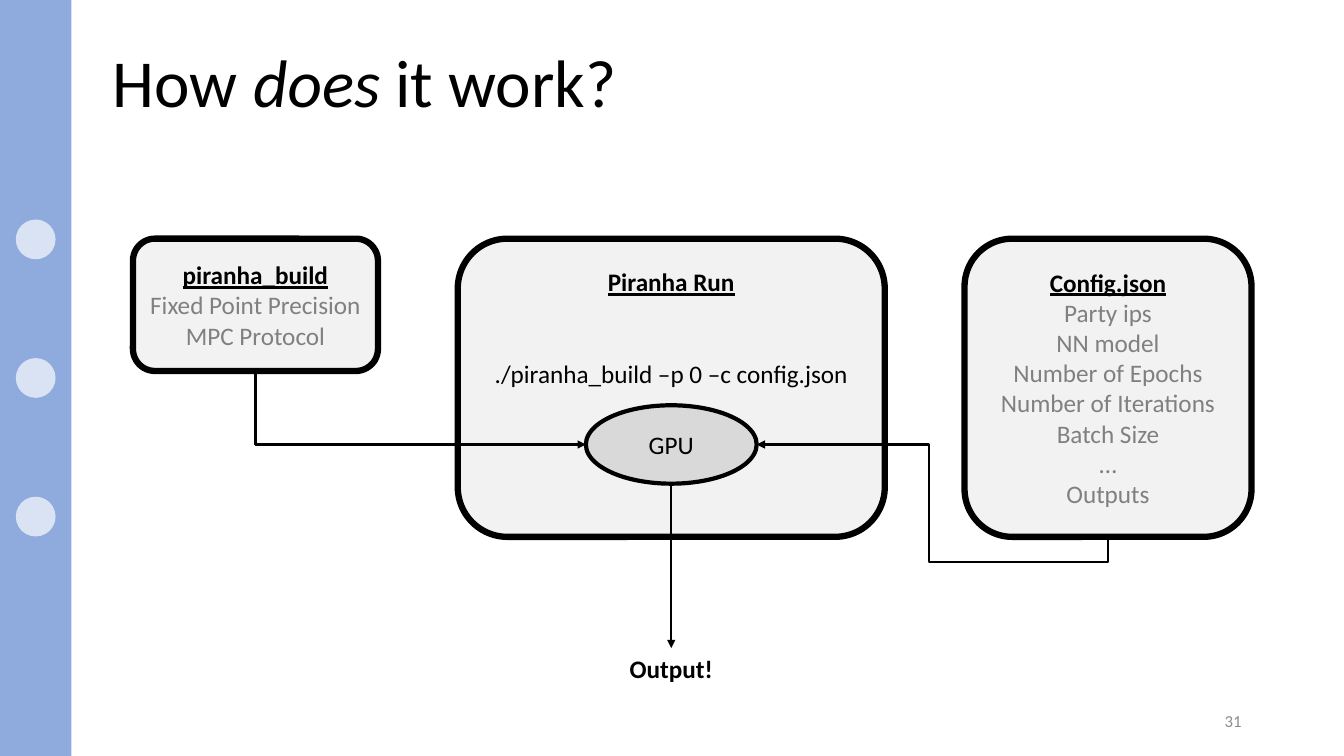
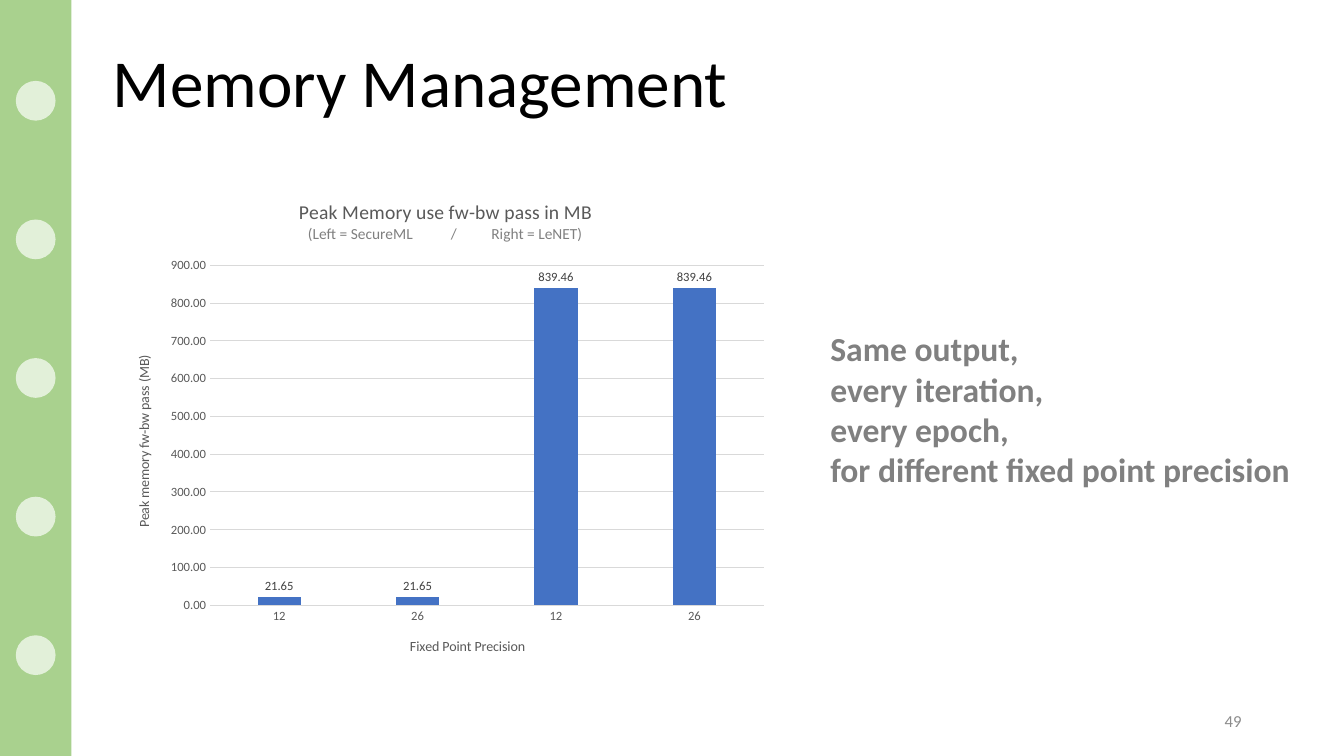
from dataclasses import dataclass

from lxml import etree
from pptx import Presentation
from pptx.chart.data import CategoryChartData
from pptx.dml.color import RGBColor
from pptx.enum.chart import XL_CHART_TYPE, XL_LABEL_POSITION, XL_TICK_MARK
from pptx.enum.shapes import MSO_CONNECTOR, MSO_SHAPE
from pptx.enum.text import MSO_ANCHOR, PP_ALIGN
from pptx.oxml.ns import qn
from pptx.util import Pt

COLUMN = XL_CHART_TYPE.COLUMN_CLUSTERED
OUTSIDE_END = XL_LABEL_POSITION.OUTSIDE_END
NO_TICK = XL_TICK_MARK.NONE
STRAIGHT, ELBOW = MSO_CONNECTOR.STRAIGHT, MSO_CONNECTOR.ELBOW
RECT, OVAL = MSO_SHAPE.RECTANGLE, MSO_SHAPE.OVAL
ROUNDED = MSO_SHAPE.ROUNDED_RECTANGLE
TOP, MIDDLE, BOTTOM = MSO_ANCHOR.TOP, MSO_ANCHOR.MIDDLE, MSO_ANCHOR.BOTTOM
LEFT, CENTER, RIGHT = PP_ALIGN.LEFT, PP_ALIGN.CENTER, PP_ALIGN.RIGHT


@dataclass(frozen=True)
class Theme:
    font: str = "Calibri"
    ink: str = "000000"
    muted: str = "808080"
    number: str = "8C8C8C"
    panel: str = "F2F2F2"
    node: str = "D9D9D9"
    blue: tuple = ("8FAADC", "DAE3F3")
    green: tuple = ("A9D18E", "E2F0D9")
    bar: str = "4472C4"
    chart_text: str = "595959"
    label_text: str = "404040"
    grid: str = "D9D9D9"
    title_size: int = 48
    callout_size: int = 24
    body_size: int = 18
    chart_title_size: int = 14
    number_size: int = 12
    subtitle_size: int = 11
    axis_title_size: int = 10
    chart_size: int = 9


T = Theme()
WIDTH, HEIGHT = 960, 540
BAND_WIDTH, DOT, DOT_STEP = 51, 28.4, 99
BOX_TOP, BOX_HEIGHT = 170.5, 213
CHART_WIDTH, CHART_HEIGHT = 472, 353.5


def rgb(value):
    return RGBColor.from_string(value)


def style_font(font, size, color):
    font.name = T.font
    font.size = Pt(size)
    font.color.rgb = rgb(color)
    font.bold = False


def add_text(p, text, size=T.body_size, color=T.ink, bold=False, italic=False, underline=False):
    r = p.add_run()
    r.text = text
    style_font(r.font, size, color)
    r.font.bold = bold
    r.font.italic = italic
    r.font.underline = underline


def next_paragraph(tf, align=LEFT):
    p = tf.paragraphs[0]
    if p.runs:
        p = tf.add_paragraph()
    p.alignment = align
    return p


def text_box(s, x, y, w, h, anchor=TOP):
    sp = s.shapes.add_textbox(Pt(x), Pt(y), Pt(w), Pt(h))
    sp.text_frame.word_wrap = True
    sp.text_frame.vertical_anchor = anchor
    return sp


def add_shape(s, kind, x, y, w, h, fill, line_width=0):
    sp = s.shapes.add_shape(kind, Pt(x), Pt(y), Pt(w), Pt(h))
    sp.shadow.inherit = False
    sp.fill.solid()
    sp.fill.fore_color.rgb = rgb(fill)
    if line_width:
        sp.line.color.rgb = rgb(T.ink)
        sp.line.width = Pt(line_width)
    else:
        sp.line.fill.background()
    sp.text_frame.vertical_anchor = MIDDLE
    return sp


def add_panel(s, x, w, h, heading, lines=()):
    sp = add_shape(s, ROUNDED, x, BOX_TOP, w, h, T.panel, 4.5)
    tf = sp.text_frame
    tf.word_wrap = True
    add_text(next_paragraph(tf, CENTER), heading, bold=True, underline=True)
    for line in lines:
        add_text(next_paragraph(tf, CENTER), line, color=T.muted)
    return sp


def style_arrow(cx):
    cx.line.color.rgb = rgb(T.ink)
    cx.line.width = Pt(1.5)
    etree.SubElement(cx.line._get_or_add_ln(), qn("a:tailEnd"), type="triangle")
    etree.SubElement(cx._element.spPr, qn("a:effectLst"))


def add_elbow(s, start, end, preset, rotation, adjustments=()):
    (x1, y1), (x2, y2) = start, end
    dx, dy = abs(x2 - x1), abs(y2 - y1)
    cx = s.shapes.add_connector(ELBOW, 0, 0, dy, dx)
    cx.left = (x1 + x2 - dy) // 2
    cx.top = (y1 + y2 - dx) // 2
    xfrm = cx._element.spPr.find(qn("a:xfrm"))
    xfrm.set("rot", str(rotation * 60000))
    xfrm.set("flipH", "1")
    geom = cx._element.spPr.find(qn("a:prstGeom"))
    geom.set("prst", preset)
    guides = geom.find(qn("a:avLst"))
    if guides is None:
        guides = etree.SubElement(geom, qn("a:avLst"))
    for i, value in enumerate(adjustments, 1):
        etree.SubElement(guides, qn("a:gd"), name=f"adj{i}", fmla=f"val {value}")
    style_arrow(cx)


def bottom_middle(sp):
    return sp.left + sp.width // 2, sp.top + sp.height


def add_slide(prs, title, number, colors, dot_steps):
    s = prs.slides.add_slide(prs.slide_layouts[6])
    band, dot = colors
    add_shape(s, RECT, 0, 0, BAND_WIDTH, HEIGHT, band)
    for step in dot_steps:
        y = (HEIGHT - DOT) / 2 + step * DOT_STEP
        add_shape(s, OVAL, (BAND_WIDTH - DOT) / 2, y, DOT, DOT, dot)
    p = next_paragraph(text_box(s, 73.5, 9.5, 812, 81.5, BOTTOM).text_frame)
    p.line_spacing = 0.9
    for text, italic in title:
        add_text(p, text, T.title_size, italic=italic)
    p = next_paragraph(text_box(s, 678, 500.5, 216, 28.8, MIDDLE).text_frame, RIGHT)
    add_text(p, number, T.number_size, T.number)
    return s


def set_layout(element, index, **places):
    layout = element.find(qn("c:layout"))
    if layout is None:
        layout = etree.Element(qn("c:layout"))
        element.insert(index, layout)
    manual = etree.SubElement(layout, qn("c:manualLayout"))
    if "w" in places:
        etree.SubElement(manual, qn("c:layoutTarget"), val="inner")
    for axis in ("x", "y"):
        etree.SubElement(manual, qn(f"c:{axis}Mode"), val="edge")
    for name, value in places.items():
        whole = CHART_WIDTH if name in "xw" else CHART_HEIGHT
        etree.SubElement(manual, qn(f"c:{name}"), val=str(value / whole))


def set_chart_title(title, text, size, x, y):
    add_text(next_paragraph(title.text_frame, CENTER), text, size, T.chart_text)
    set_layout(title._element, 1, x=x, y=y)


def add_memory_chart(s):
    data = CategoryChartData(number_format="0.00")
    data.categories = ["12", "26", "12", "26"]
    data.add_series("Series 1", [21.65, 21.65, 839.46, 839.46])
    chart = s.shapes.add_chart(COLUMN, Pt(82), Pt(129), Pt(CHART_WIDTH),
                               Pt(CHART_HEIGHT), data).chart
    style_font(chart.font, T.chart_size, T.chart_text)
    chart.has_legend = False
    set_chart_title(chart.chart_title, "Peak Memory use fw-bw pass in MB",
                    T.chart_title_size, 129, 10)
    chart.chart_title.include_in_layout = False
    set_layout(chart._chartSpace.chart.plotArea, 0, x=68, y=60.5, w=395.5, h=243)

    plot = chart.plots[0]
    plot.vary_by_categories = False
    plot.gap_width = 219
    plot.overlap = -27
    fill = plot.series[0].format.fill
    fill.solid()
    fill.fore_color.rgb = rgb(T.bar)
    plot.has_data_labels = True
    labels = plot.data_labels
    labels.show_value = True
    labels.position = OUTSIDE_END
    labels.number_format = "0.00"
    labels.number_format_is_linked = False
    style_font(labels.font, T.chart_size, T.label_text)

    cat, val = chart.category_axis, chart.value_axis
    set_chart_title(cat.axis_title, "Fixed Point Precision", T.axis_title_size, 209, 324)
    set_chart_title(val.axis_title, "Peak memory fw-bw pass (MB)", T.axis_title_size, 12.5, 123)
    val.axis_title.text_frame._txBody.bodyPr.set("rot", "-5400000")
    for axis in (cat, val):
        axis.major_tick_mark = axis.minor_tick_mark = NO_TICK
        style_font(axis.tick_labels.font, T.chart_size, T.chart_text)
    val.format.line.fill.background()
    val.minimum_scale, val.maximum_scale, val.major_unit = 0, 900, 100
    val.tick_labels.number_format = "0.00"
    val.tick_labels.number_format_is_linked = False
    for line in (cat.format.line, val.major_gridlines.format.line):
        line.color.rgb = rgb(T.grid)
        line.width = Pt(0.75)


def add_chart_subtitle(s):
    tf = text_box(s, 220, 160, 206, 14).text_frame
    tf.margin_left = tf.margin_right = tf.margin_top = tf.margin_bottom = 0
    p = next_paragraph(tf)
    tabs = etree.SubElement(p._p.get_or_add_pPr(), qn("a:tabLst"))
    for stop in (102, 131):
        etree.SubElement(tabs, qn("a:tab"), pos=str(Pt(stop)), algn="l")
    add_text(p, "(Left = SecureML\t/\tRight = LeNET)", T.subtitle_size, T.muted)


def build_workflow(prs):
    title = [("How ", False), ("does", True), (" it work?", False)]
    s = add_slide(prs, title, "31", T.blue, (-1, 0, 1))

    run = add_panel(s, 327, 305, BOX_HEIGHT, "Piranha Run")
    run.text_frame.vertical_anchor = TOP
    run.text_frame.margin_top = Pt(9.5)
    p = next_paragraph(run.text_frame, CENTER)
    p.space_before = Pt(44)
    add_text(p, "./piranha_build –p 0 –c config.json")

    build = add_panel(s, 95, 175, 94.5, "piranha_build", ["Fixed Point Precision", "MPC Protocol"])
    config = add_panel(s, 689, 205, BOX_HEIGHT, "Config.json", [
        "Party ips", "NN model", "Number of Epochs", "Number of Iterations",
        "Batch Size", "…", "Outputs"])

    node = add_shape(s, OVAL, 418.5, 289.5, 122, 56, T.node, 3)
    add_text(next_paragraph(node.text_frame, CENTER), "GPU")
    middle = node.top + node.height // 2
    add_elbow(s, bottom_middle(build), (node.left, middle), "bentConnector2", 270)
    add_elbow(s, bottom_middle(config), (node.left + node.width, middle),
              "bentConnector4", 90, (-27300, 50900))

    output = text_box(s, 239.5, 463, 480, 29)
    add_text(next_paragraph(output.text_frame, CENTER), "Output!", bold=True)
    x, y = bottom_middle(node)
    arrow = s.shapes.add_connector(STRAIGHT, x, y, x, output.top)
    arrow.end_connect(output, 0)
    style_arrow(arrow)


def build_memory(prs):
    s = add_slide(prs, [("Memory Management", False)], "49", T.green, range(-2, 3))
    add_memory_chart(s)
    add_chart_subtitle(s)
    tf = text_box(s, 586, 231, 370, 124).text_frame
    for line in ("Same output,", "every iteration,", "every epoch,",
                 "for different fixed point precision"):
        add_text(next_paragraph(tf), line, T.callout_size, T.muted, bold=True)


def main():
    prs = Presentation()
    prs.slide_width, prs.slide_height = Pt(WIDTH), Pt(HEIGHT)
    build_workflow(prs)
    build_memory(prs)
    prs.save("out.pptx")


if __name__ == "__main__":
    main()
